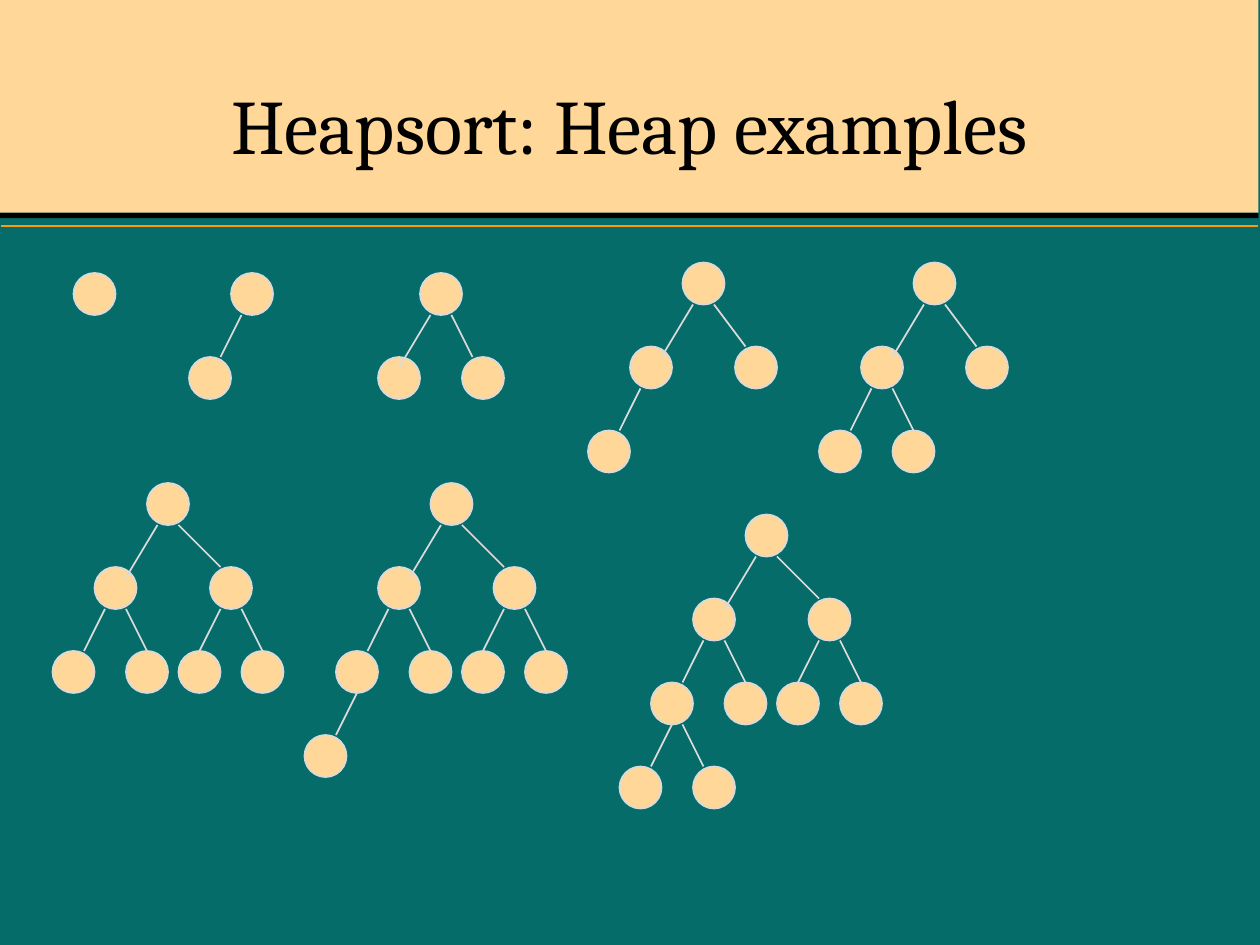
import pptx
import pptx.dml.color
import pptx.enum.shapes
import pptx.enum.text
import pptx.util
from lxml import etree
from pptx.util import Cm

TITLE = "Heapsort: Heap examples"

WIDE_BRANCHES = [
    (-5, 1, 3, 1),
    (6, 3, 1, 0),
    (-9, 1, 3, 0),
    (-2, 3, 2, 0),
    (3, 1, 2, 0),
    (9, 3, 2, 0),
    (-12, 2, 3, 0),
    (-5, 3, 1, 0),
]
MEDIUM_BRANCHES = [WIDE_BRANCHES[0], (5, 3, 1, 0)] + WIDE_BRANCHES[2:4]

HEAPS = [
    {"root": (7, 26), "branches": []},
    {"root": (22, 26), "branches": [(-4, 1, 3, 0)]},
    {"root": (40, 26), "branches": [(-4, 1, 2, 1), (4, 3, 1, 0)]},
    {"root": (65, 25), "branches": MEDIUM_BRANCHES[:3]},
    {"root": (87, 25), "branches": MEDIUM_BRANCHES},
    {"root": (14, 46), "branches": WIDE_BRANCHES[:6]},
    {"root": (41, 46), "branches": WIDE_BRANCHES[:7]},
    {"root": (71, 49), "branches": WIDE_BRANCHES},
]

THEME = {
    "background": "056C69",
    "node": "FFD798",
    "edge": "DADADA",
    "rule": "FE9B03",
    "text": "000000",
    "font": "Cambria",
    "title_size": 44,
    "line_width": 1,
}

GRID = 2.54 / 12
NODE_SIZE = 4
LEVEL_STEP = 8
BAND_WIDTH = 25.37


def color(name):
    return pptx.dml.color.RGBColor.from_string(THEME[name])


def add_filled_shape(slide, kind, left, top, width, height, fill, line=None):
    shape = slide.shapes.add_shape(kind, Cm(left), Cm(top), Cm(width), Cm(height))
    shape.shadow.inherit = False
    shape.fill.solid()
    shape.fill.fore_color.rgb = color(fill)
    if line:
        shape.line.color.rgb = color(line)
        shape.line.width = pptx.util.Pt(THEME["line_width"])
    else:
        shape.line.fill.background()


def add_line(slide, start, end, line):
    connector = slide.shapes.add_connector(
        pptx.enum.shapes.MSO_CONNECTOR.STRAIGHT, *map(Cm, start + end)
    )
    connector.line.color.rgb = color(line)
    connector.line.width = pptx.util.Pt(THEME["line_width"])
    etree.SubElement(
        connector.element.spPr, pptx.oxml.ns.qn("a:effectLst")
    )


def add_text(slide, text, *, box, size, font, fill, align, anchor):
    frame = slide.shapes.add_textbox(*map(Cm, box)).text_frame
    frame.word_wrap = True
    frame.vertical_anchor = anchor
    paragraph = frame.paragraphs[0]
    paragraph.alignment = align
    run = paragraph.add_run()
    run.text = text
    run.font.size = pptx.util.Pt(size)
    run.font.name = font
    run.font.color.rgb = color(fill)


def add_heap(slide, root, branches):
    root_left, root_top = root
    nodes = [root]
    edges = []
    for position, (offset, edge_start, edge_end, dip) in enumerate(branches, 2):
        level = position.bit_length() - 1
        left, top = root_left + offset, root_top + level * LEVEL_STEP
        parent_left, parent_top = nodes[position // 2 - 1]
        nodes.append((left, top))
        edges.append((
            (parent_left + edge_start, parent_top + NODE_SIZE),
            (left + edge_end, top + dip),
        ))
    for left, top in nodes:
        add_filled_shape(
            slide, pptx.enum.shapes.MSO_SHAPE.OVAL, left * GRID, top * GRID,
            NODE_SIZE * GRID, NODE_SIZE * GRID, "node", "edge",
        )
    for start, end in edges:
        add_line(
            slide, tuple(value * GRID for value in start),
            tuple(value * GRID for value in end), "edge",
        )


def main():
    presentation = pptx.Presentation()
    presentation.slide_width = Cm(25.4)
    presentation.slide_height = Cm(19.05)
    slide = presentation.slides.add_slide(presentation.slide_layouts[6])
    slide.background.fill.solid()
    slide.background.fill.fore_color.rgb = color("background")

    rectangle = pptx.enum.shapes.MSO_SHAPE.RECTANGLE
    add_filled_shape(slide, rectangle, 0, 0, BAND_WIDTH, 4.29, "node")
    add_filled_shape(slide, rectangle, 0, 4.29, BAND_WIDTH, 0.11, "text")
    add_line(slide, (0.02, 4.55), (25.35, 4.55), "rule")
    add_text(
        slide, TITLE, box=(1.9, 0.95, 21.6, 3.07),
        size=THEME["title_size"], font=THEME["font"], fill="text",
        align=pptx.enum.text.PP_ALIGN.CENTER,
        anchor=pptx.enum.text.MSO_ANCHOR.MIDDLE,
    )
    for heap in HEAPS:
        add_heap(slide, **heap)
    presentation.save("out.pptx")


if __name__ == "__main__":
    main()
